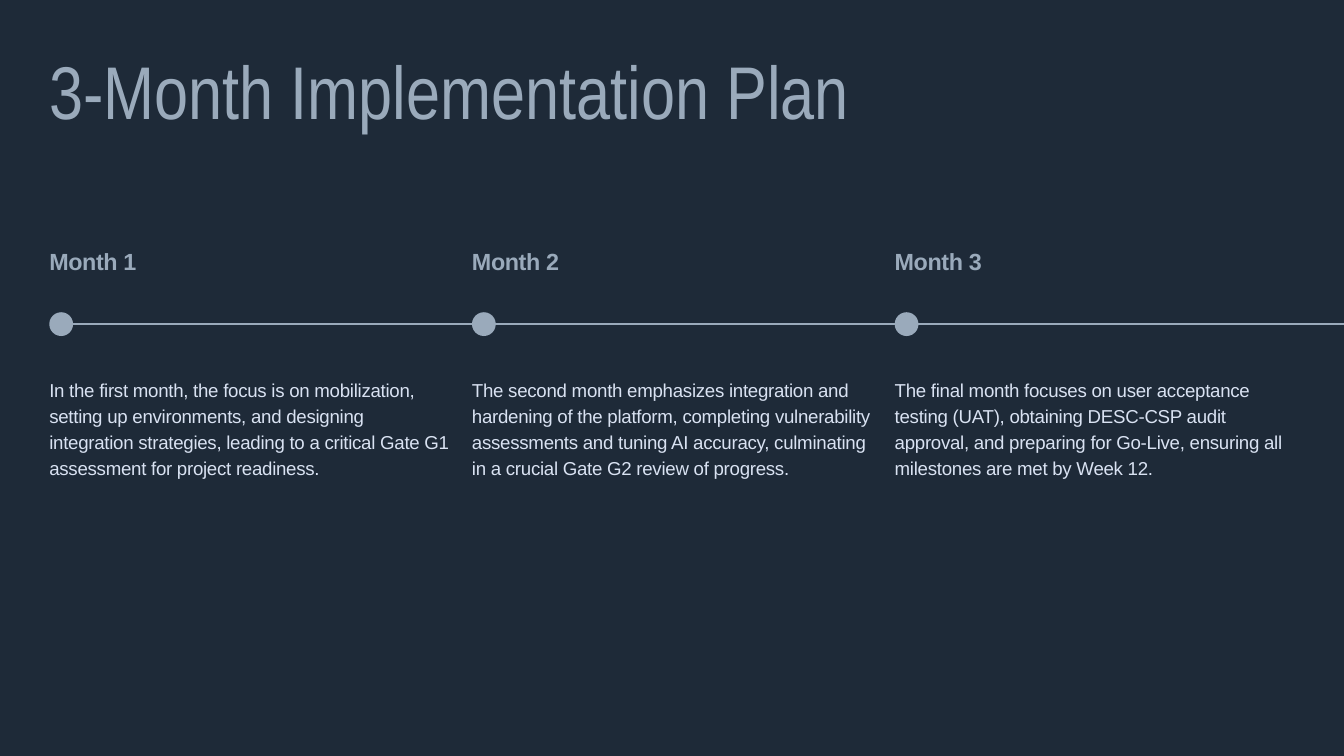
from lxml.etree import SubElement
from pptx import Presentation
from pptx.dml.color import RGBColor
from pptx.enum.shapes import MSO_CONNECTOR as Conn, MSO_SHAPE as Kind
from pptx.enum.text import MSO_ANCHOR as Anchor, MSO_AUTO_SIZE as Fit, PP_ALIGN as Align
from pptx.oxml.ns import qn
from pptx.util import Pt

WIDE, HIGH = 1440, 810
LEFT, STEP, COL = 52.8, 452.9, 429.2
DOT, AXIS = 25.5, 347.3

MONTHS = [
    ("Month 1", "In the first month, the focus is on mobilization, setting up "
     "environments, and designing integration strategies, leading to a critical "
     "Gate G1 assessment for project readiness."),
    ("Month 2", "The second month emphasizes integration and hardening of the "
     "platform, completing vulnerability assessments and tuning AI accuracy, "
     "culminating in a crucial Gate G2 review of progress."),
    ("Month 3", "The final month focuses on user acceptance testing (UAT), "
     "obtaining DESC-CSP audit approval, and preparing for Go-Live, ensuring all "
     "milestones are met by Week 12."),
]


def color(code):
    return RGBColor.from_string(code)


class Deck:
    back, steel, pale = "1E2A38", "9AAABB", "D9E2F2"
    face, thin = "Arial", "Arial Narrow"

    def __init__(self, slide):
        self.slide = slide
        fill = slide.background.fill
        fill.solid()
        fill.fore_color.rgb = color(self.back)

    def label(self, shape, text, size, lead, tone, face, bold=False, track=0):
        """Fill a shape with one paragraph; track is letter spacing in points."""
        frame = shape.text_frame
        frame.word_wrap = True
        frame.auto_size = Fit.NONE
        frame.vertical_anchor = Anchor.TOP
        frame.margin_left = frame.margin_right = 0
        frame.margin_top = frame.margin_bottom = 0
        para = frame.paragraphs[0]
        para.text = text
        para.alignment = Align.LEFT
        para.line_spacing = Pt(lead)
        font = para.font
        font.name, font.size, font.bold = face, Pt(size), bold
        font.color.rgb = color(tone)
        if track:
            para.runs[0]._r.get_or_add_rPr().set("spc", str(round(track * 100)))

    def title(self, text, x, y, w, h):
        shape = self.slide.shapes.title
        shape.left, shape.top, shape.width, shape.height = Pt(x), Pt(y), Pt(w), Pt(h)
        self.label(shape, text, 80, 80, self.steel, self.thin)

    def head(self, text, x, y, w, h):
        box = self.slide.shapes.add_textbox(Pt(x), Pt(y), Pt(w), Pt(h))
        self.label(box, text, 25, 30, self.steel, self.face, bold=True, track=-0.4)

    def note(self, text, x, y, w, h):
        box = self.slide.shapes.add_textbox(Pt(x), Pt(y), Pt(w), Pt(h))
        self.label(box, text, 20, 28, self.pale, self.face, track=-0.3)

    def line(self, x, y, end):
        line = self.slide.shapes.add_connector(
            Conn.STRAIGHT, Pt(x), Pt(y), Pt(end), Pt(y))
        line.line.color.rgb = color(self.steel)
        line.line.width = Pt(1.5)
        SubElement(line._element.spPr, qn("a:effectLst"))

    def dot(self, x, y, size):
        dot = self.slide.shapes.add_shape(Kind.OVAL, Pt(x), Pt(y), Pt(size), Pt(size))
        dot.shadow.inherit = False
        dot.fill.solid()
        dot.fill.fore_color.rgb = color(self.steel)
        dot.line.fill.background()


def main():
    show = Presentation()
    show.slide_width, show.slide_height = Pt(WIDE), Pt(HIGH)
    deck = Deck(show.slides.add_slide(show.slide_layouts[5]))

    deck.title("3-Month Implementation Plan", LEFT, 64, WIDE - 2 * LEFT, 84)
    deck.line(LEFT + DOT, AXIS, 1464.5)
    for i, (month, text) in enumerate(MONTHS):
        x = LEFT + i * STEP
        deck.head(month, x, 265, COL, 31)
        deck.dot(x, AXIS - DOT / 2, DOT)
        deck.note(text, x, 401.8, COL, 110)

    show.save("out.pptx")


if __name__ == "__main__":
    main()
